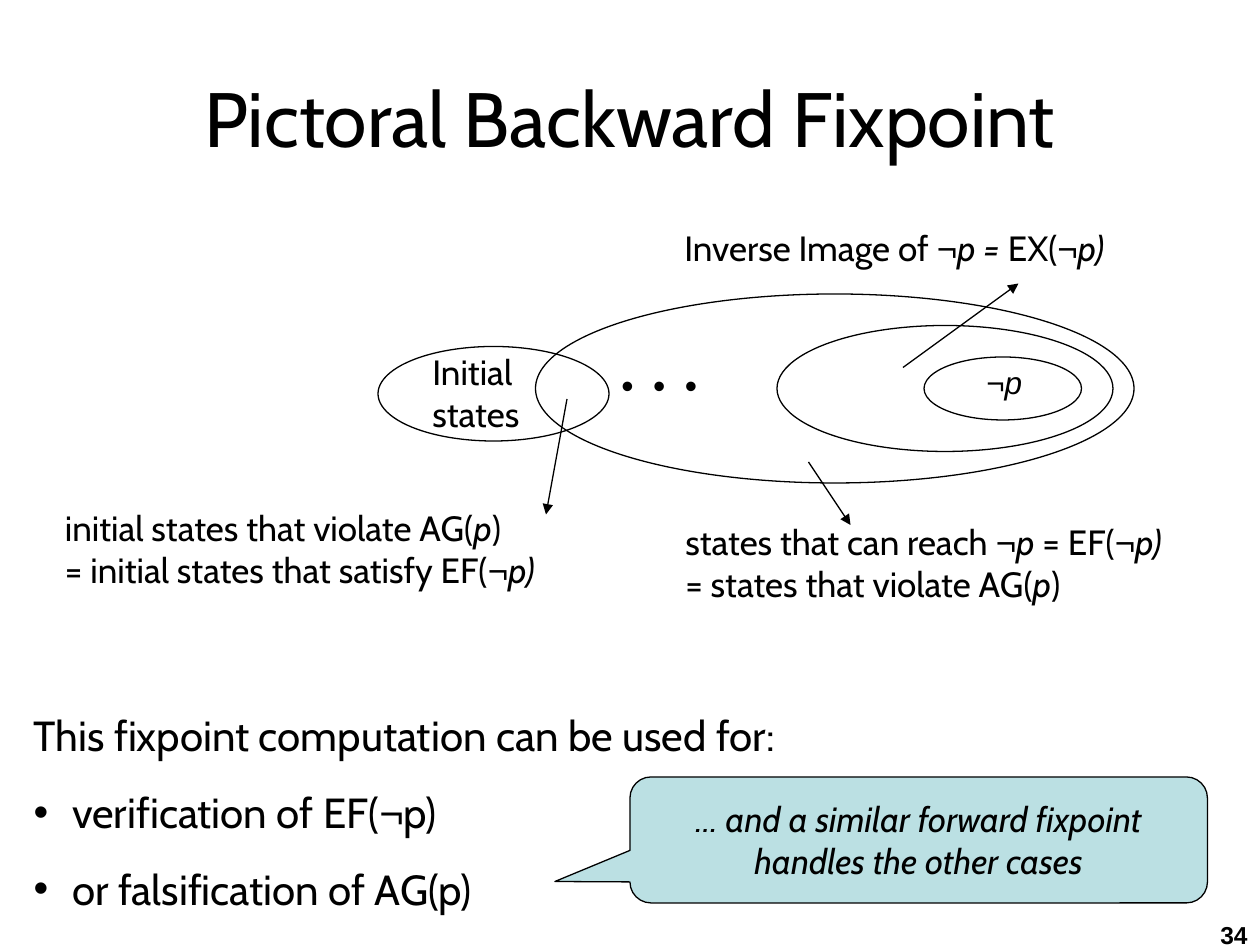
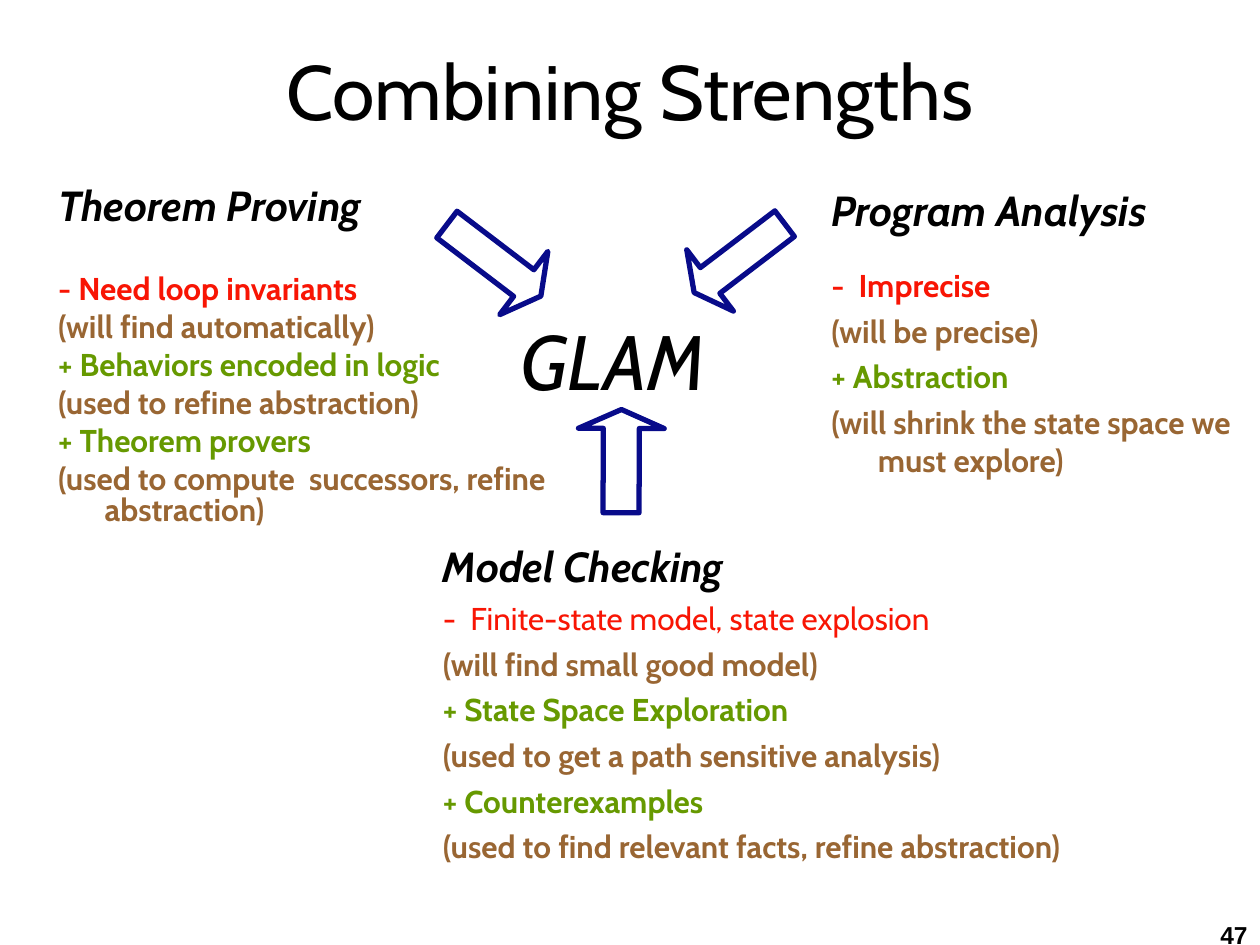
from dataclasses import dataclass
from itertools import groupby
from typing import NamedTuple

from lxml.etree import SubElement
from pptx import Presentation
from pptx.dml.color import RGBColor as Rgb
from pptx.enum.shapes import MSO_CONNECTOR as Link, MSO_SHAPE as Kind
from pptx.enum.text import MSO_ANCHOR as Anchor, MSO_AUTO_SIZE as Fit, PP_ALIGN as Align
from pptx.oxml.ns import qn
from pptx.util import Pt


@dataclass(frozen=True)
class Theme:
    font: str = "Cabin"
    plain: str = "Arial"
    ink: Rgb = Rgb(0, 0, 0)
    red: Rgb = Rgb(0xF8, 0x15, 0x04)
    green: Rgb = Rgb(0x66, 0x99, 0x00)
    brown: Rgb = Rgb(0x99, 0x66, 0x33)
    navy: Rgb = Rgb(0x08, 0x0B, 0x8A)
    pale: Rgb = Rgb(0xBB, 0xE0, 0xE3)
    title: int = 44
    head: int = 24
    note: int = 20
    item: int = 18
    page: int = 14
    thin: float = 0.75
    thick: float = 3


THEME = Theme()


class Box(NamedTuple):
    left: float
    top: float
    width: float
    height: float


@dataclass(frozen=True)
class Line:
    """One paragraph; underscores switch italics on and off."""
    text: str
    size: int = THEME.note
    color: Rgb = THEME.ink
    bold: bool = False
    italic: bool = False
    gap: float = 0
    bullet: bool = False
    font: str = THEME.font


@dataclass(frozen=True)
class Note:
    box: Box
    lines: tuple[Line, ...]


@dataclass(frozen=True)
class Arrow:
    box: Box
    turn: float
    tip: float


@dataclass(frozen=True)
class Topic:
    box: Box
    head: str
    items: tuple[str, ...]
    gap: float = 4.5
    light: int = -1


# Shared helpers

def place(shape, box: Box) -> None:
    shape.left, shape.top, shape.width, shape.height = map(Pt, box)


def fill_line(para, line: Line) -> None:
    """Split a line into runs by italics and by the negation sign."""
    for turn, part in enumerate(line.text.split("_")):
        for sign, marks in groupby(part, lambda mark: mark == "¬"):
            run = para.add_run()
            run.text = "".join(marks)
            font = run.font
            font.name = THEME.plain if sign else line.font
            font.size = Pt(line.size)
            font.bold = line.bold
            font.italic = line.italic or (turn % 2 == 1 and not sign)
            font.color.rgb = line.color


def write(frame, lines: tuple[Line, ...], align=Align.LEFT,
          hang: float = 0, pitch: float = 1) -> None:
    frame.word_wrap = True
    frame.auto_size = Fit.NONE
    frame.text = "\n" * (len(lines) - 1)
    for para, line in zip(frame.paragraphs, lines):
        fill_line(para, line)
        para.alignment = align
        para.space_before = Pt(line.gap)
        para.line_spacing = pitch
        inset = 22 if line.bullet else hang
        props = para._p.get_or_add_pPr()
        props.set("marL", str(Pt(inset)))
        props.set("indent", str(-Pt(inset)))
        if line.bullet:
            SubElement(props, qn("a:buFont"), typeface=THEME.plain)
            SubElement(props, qn("a:buChar"), char="•")
        else:
            SubElement(props, qn("a:buNone"))


def add_text(slide, box: Box, lines: tuple[Line, ...], **style) -> None:
    write(slide.shapes.add_textbox(*map(Pt, box)).text_frame, lines, **style)


def add_form(slide, kind, box: Box, color: Rgb = THEME.ink, width: float = THEME.thin):
    shape = slide.shapes.add_shape(kind, *map(Pt, box))
    shape.shadow.inherit = False
    shape.fill.background()
    shape.line.color.rgb = color
    shape.line.width = Pt(width)
    return shape


def add_link(slide, start: tuple[float, float], end: tuple[float, float]) -> None:
    link = slide.shapes.add_connector(Link.STRAIGHT, *map(Pt, start + end))
    link.line.color.rgb = THEME.ink
    link.line.width = Pt(THEME.thin)
    SubElement(link.line._get_or_add_ln(), qn("a:tailEnd"), type="triangle")
    SubElement(link._element.spPr, qn("a:effectLst"))


def add_slide(deck, title: str, top: float, page: int):
    slide = deck.slides.add_slide(deck.slide_layouts[1])
    head = slide.shapes.title
    place(head, Box(12, top, 696, 90))
    write(head.text_frame, (Line(title, THEME.title),), align=Align.CENTER)
    head.text_frame.vertical_anchor = Anchor.MIDDLE
    number = Line(str(page), THEME.page, bold=True, font=THEME.plain)
    add_text(slide, Box(564, 522, 156, 24.5), (number,), align=Align.RIGHT)
    return slide


# Slide contents

SETS = (
    Box(528, 204, 90, 36),
    Box(444, 186, 192, 72),
    Box(306, 168, 342, 108),
    Box(216, 198, 132, 54),
)
LINKS = (
    ((324, 228), (312, 294)),
    ((462, 264), (486, 300)),
    ((516, 210), (582, 162)),
)
NOTES = (
    Note(Box(348, 204, 70.5, 29.5), (Line("•  •  •", font=THEME.plain),)),
    Note(Box(556.5, 204, 49, 27), (Line("¬_p_", THEME.item, font=THEME.plain),)),
    Note(Box(240, 196.5, 85.5, 62), (Line("Initial"), Line("states"))),
    Note(Box(30, 286, 317.5, 62), (
        Line("initial states that violate AG(_p_)"),
        Line("= initial states that satisfy EF(¬_p)_"))),
    Note(Box(384.5, 294, 325.5, 62), (
        Line("states that can reach ¬_p_ = EF(¬_p)_"),
        Line("= states that violate AG(_p_)"))),
    Note(Box(384, 126, 294, 34.5), (Line("Inverse Image of ¬_p = _EX(¬_p)_"),)),
)
USES = (
    Line("This fixpoint computation can be used for:", THEME.head, gap=15),
    Line("verification of EF(¬p)", THEME.head, gap=15, bullet=True),
    Line("or falsification of AG(p)", THEME.head, gap=15, bullet=True),
)

PROOF = Topic(Box(26, 104.5, 306.5, 241), "Theorem Proving", (
    "- Need loop invariants",
    "(will find automatically)",
    "+ Behaviors encoded in logic",
    "(used to refine abstraction)",
    "+ Theorem provers",
    "(used to compute  successors, refine abstraction)",
), gap=26.5)
TOPICS = (
    Topic(Box(468, 102, 243.5, 130), "Program Analysis", (
        "-  Imprecise",
        "(will be precise)",
        "+ Abstraction",
        "(will shrink the state space we must explore)",
    ), gap=17.6),
    Topic(Box(246, 305.5, 443.5, 124), "Model Checking", (
        "-  Finite-state model, state explosion",
        "(will find small good model)",
        "+ State Space Exploration",
        "(used to get a path sensitive analysis)",
        "+ Counterexamples",
        "(used to find relevant facts, refine abstraction)",
    ), light=0),
)
TINTS = {"-": THEME.red, "+": THEME.green, "(": THEME.brown}
ARROWS = (
    Arrow(Box(248.5, 126, 67.5, 45.5), 37.3, 0.27),
    Arrow(Box(325.5, 239, 59, 49), 270.2, 0.22),
    Arrow(Box(390, 125.5, 65, 44), 142.7, 0.26),
)


def list_topic(topic: Topic) -> tuple[Line, ...]:
    head = Line(topic.head, THEME.head, bold=True, italic=True, gap=6)
    items = (Line(text, THEME.item, TINTS[text[0]], bold=spot != topic.light,
                  gap=4.5 if spot else topic.gap)
             for spot, text in enumerate(topic.items))
    return (head, *items)


def draw_fixpoint(deck) -> None:
    slide = add_slide(deck, "Pictoral Backward Fixpoint", 21.5, 34)
    # Nested state sets with labels and pointers
    for box in SETS:
        add_form(slide, Kind.OVAL, box)
    for start, end in LINKS:
        add_link(slide, start, end)
    for note in NOTES:
        add_text(slide, note.box, note.lines)
    # Uses of the computation
    body = slide.placeholders[1]
    place(body, Box(12, 402, 558, 135))
    write(body.text_frame, USES)
    # Callout
    call = add_form(slide, Kind.ROUNDED_RECTANGULAR_CALLOUT, Box(360, 444, 330, 72))
    call.adjustments[0], call.adjustments[1] = -0.63, 0.33
    call.fill.solid()
    call.fill.fore_color.rgb = THEME.pale
    text = "… and a similar forward fixpoint handles the other cases"
    write(call.text_frame, (Line(text, italic=True),), align=Align.CENTER)
    call.text_frame.vertical_anchor = Anchor.MIDDLE


def draw_strengths(deck) -> None:
    slide = add_slide(deck, "Combining Strengths", 6, 47)
    # Three topics
    body = slide.placeholders[1]
    place(body, PROOF.box)
    write(body.text_frame, list_topic(PROOF), hang=26.6, pitch=0.8)
    for topic in TOPICS:
        add_text(slide, topic.box, list_topic(topic), hang=26.6)
    # Arrows meeting at the centre
    for arrow in ARROWS:
        shape = add_form(slide, Kind.RIGHT_ARROW, arrow.box, THEME.navy, THEME.thick)
        shape.rotation = arrow.turn
        shape.adjustments[0], shape.adjustments[1] = 0.42, arrow.tip
    centre = Line("GLAM", THEME.title, italic=True, gap=11)
    add_text(slide, Box(270, 175.5, 160.5, 85), (centre,), align=Align.CENTER)


def main() -> None:
    deck = Presentation()
    deck.slide_width, deck.slide_height = Pt(720), Pt(540)
    draw_fixpoint(deck)
    draw_strengths(deck)
    deck.save("out.pptx")


if __name__ == "__main__":
    main()
